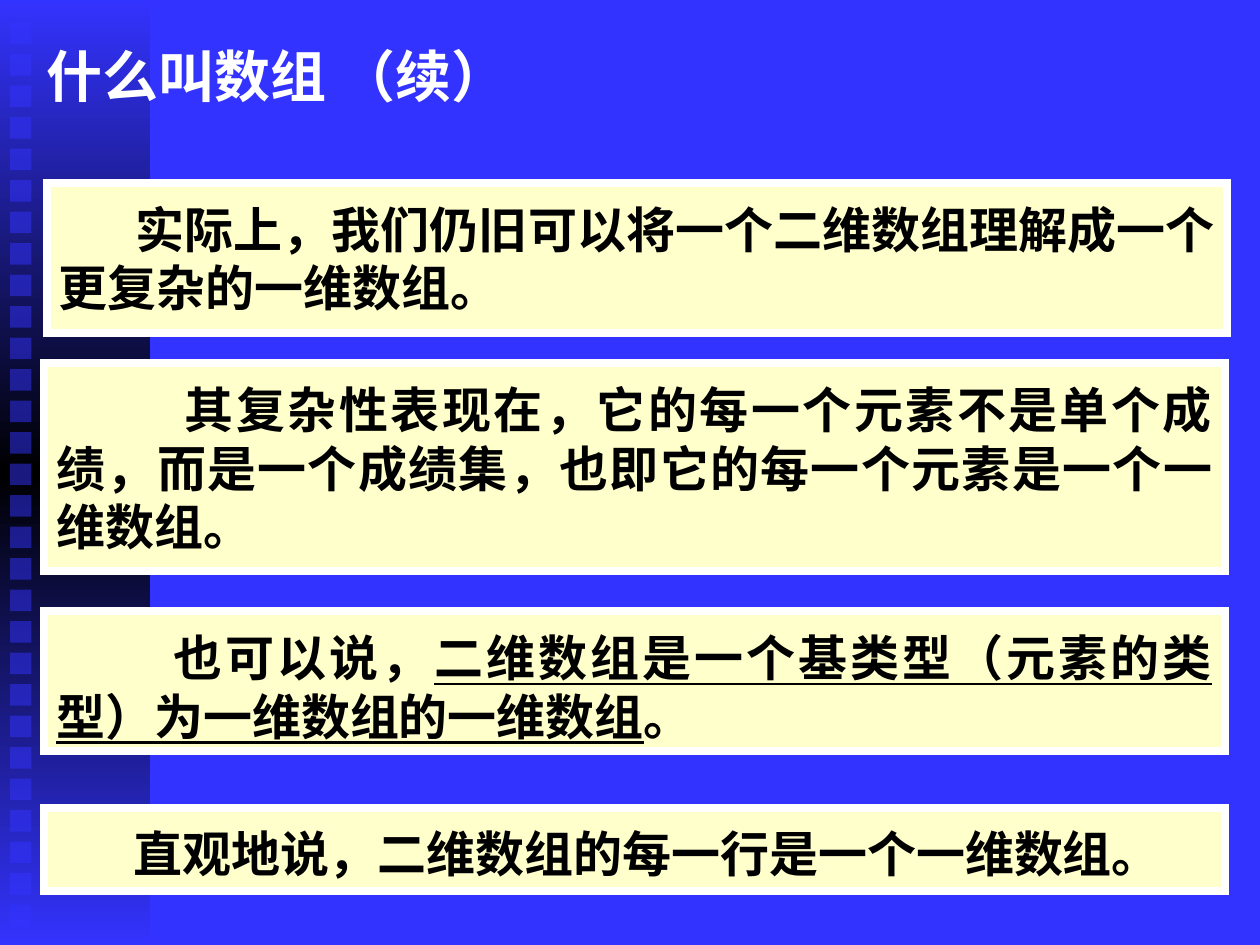
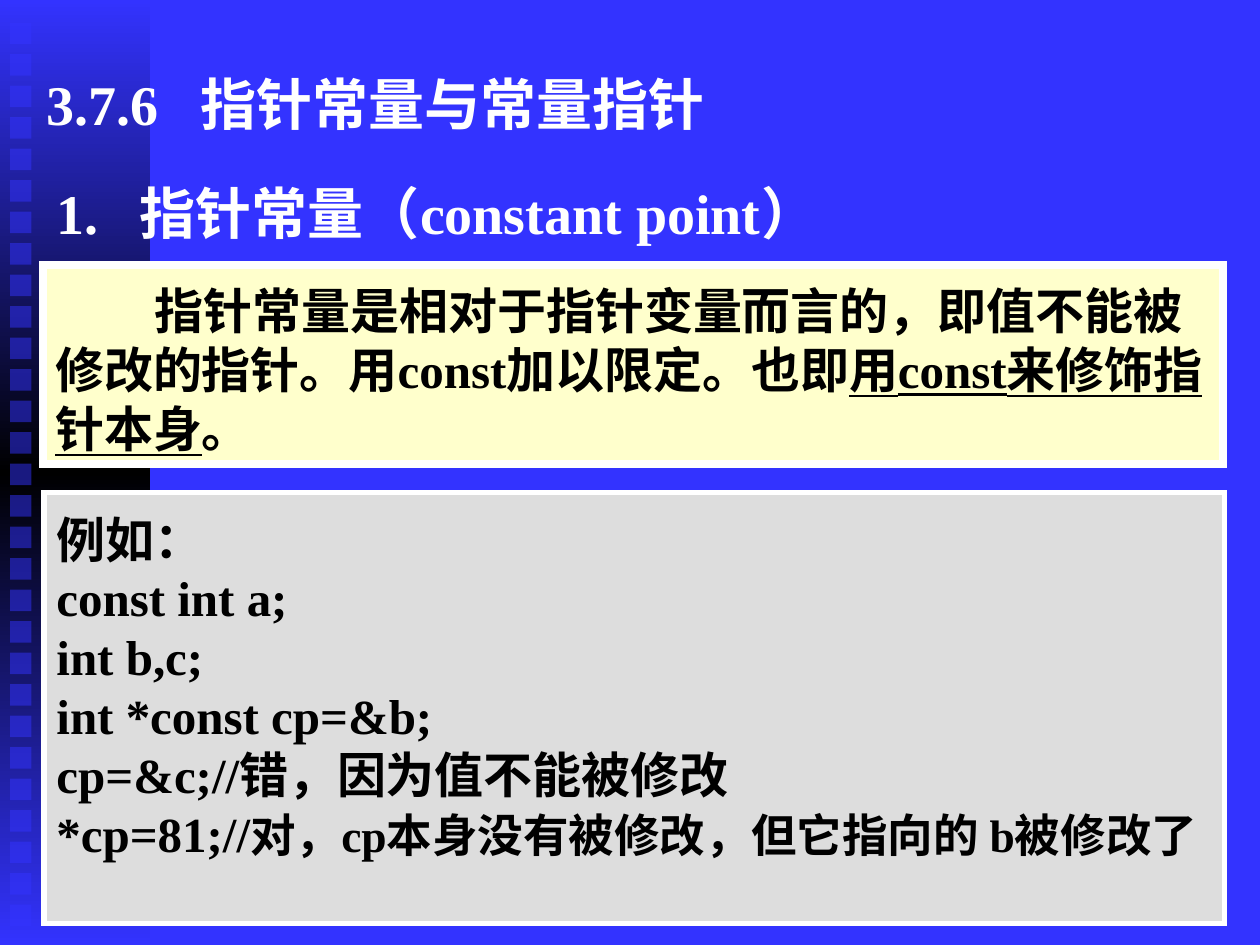
from dataclasses import dataclass

from lxml import etree
from pptx import Presentation
from pptx.dml.color import RGBColor
from pptx.enum.shapes import MSO_SHAPE
from pptx.enum.text import MSO_ANCHOR, MSO_AUTO_SIZE, PP_ALIGN
from pptx.oxml import parse_xml
from pptx.oxml.ns import nsdecls, qn
from pptx.util import Inches, Pt

RECTANGLE = MSO_SHAPE.RECTANGLE
TOP, MIDDLE = MSO_ANCHOR.TOP, MSO_ANCHOR.MIDDLE
LEFT, JUSTIFY = PP_ALIGN.LEFT, PP_ALIGN.JUSTIFY
FIXED, GROW = MSO_AUTO_SIZE.NONE, MSO_AUTO_SIZE.SHAPE_TO_FIT_TEXT


@dataclass(frozen=True)
class Theme:
    blue: str = "3333FF"
    black: str = "000000"
    white: str = "FFFFFF"
    cream: str = "FFFFCC"
    grey: str = "DDDDDD"
    font: str = "Times New Roman"
    title_size: int = 32
    body_size: int = 28
    note_size: int = 26


THEME = Theme()
UNDERLINED = {"underline": True}


def color(value):
    return RGBColor.from_string(value)


def add_rectangle(slide, box, fill, line=None, line_width=0):
    shape = slide.shapes.add_shape(RECTANGLE, *map(Inches, box))
    shape.shadow.inherit = False
    shape.fill.solid()
    shape.fill.fore_color.rgb = color(fill)
    if line:
        shape.line.color.rgb = color(line)
        shape.line.width = Pt(line_width)
        outline = shape._element.spPr.find(qn("a:ln"))
        etree.SubElement(outline, qn("a:miter")).set("lim", "800000")
    else:
        shape.line.fill.background()
    return shape


def apply_vertical_gradient(shape, stops):
    stop_xml = "".join(
        f'<a:gs pos="{percent * 1000}"><a:srgbClr val="{value}"/></a:gs>'
        for percent, value in stops)
    gradient = parse_xml(
        f'<a:gradFill {nsdecls("a")} rotWithShape="1"><a:gsLst>{stop_xml}</a:gsLst>'
        '<a:lin ang="5400000" scaled="0"/></a:gradFill>')
    properties = shape._element.spPr
    properties.replace(properties.find(qn("a:solidFill")), gradient)


def set_opacity(shape, percent):
    fill_color = shape._element.spPr.find(f'{qn("a:solidFill")}/{qn("a:srgbClr")}')
    etree.SubElement(fill_color, qn("a:alpha")).set("val", str(percent * 1000))


def add_sidebar(slide, box):
    """Gradient band with a column of half-transparent squares."""
    left, top, _, _ = box
    band = add_rectangle(slide, box, THEME.black)
    apply_vertical_gradient(
        band, [(0, THEME.blue), (50, THEME.black), (100, THEME.blue)])
    for row in range(29):
        square_box = (left + 0.08, top + 0.18 + 0.25 * row, 0.17, 0.17)
        set_opacity(add_rectangle(slide, square_box, THEME.blue), 50)


def set_text_frame(frame, top_inset, anchor, auto_size=FIXED):
    values = {
        "word_wrap": True, "auto_size": auto_size, "vertical_anchor": anchor,
        "margin_left": Inches(0.1), "margin_right": Inches(0.1),
        "margin_top": Inches(top_inset), "margin_bottom": Inches(0.05),
    }
    for name, value in values.items():
        setattr(frame, name, value)


def add_tab_stop(paragraph, position):
    tab_list = etree.SubElement(paragraph._p.get_or_add_pPr(), qn("a:tabLst"))
    tab = etree.SubElement(tab_list, qn("a:tab"))
    tab.set("pos", str(Inches(position)))
    tab.set("algn", "l")


def add_runs(paragraph, runs, size, text_color):
    """Add (text, format values) pairs to the paragraph."""
    for text, changes in runs:
        run = paragraph.add_run()
        run.text = text
        values = {"name": THEME.font, "size": Pt(size), "bold": True} | changes
        for name, value in values.items():
            setattr(run.font, name, value)
        run.font.color.rgb = color(text_color)


def add_heading(slide, box, text, anchor=MIDDLE, tab_stop=None):
    frame = slide.shapes.add_textbox(*map(Inches, box)).text_frame
    set_text_frame(frame, 0.05, anchor)
    paragraph = frame.paragraphs[0]
    if tab_stop:
        add_tab_stop(paragraph, tab_stop)
    add_runs(paragraph, [(text, {})], THEME.title_size, THEME.white)


def add_panel(slide, box, paragraphs, fill=THEME.cream, line_width=4.5,
              indent=0, alignment=LEFT, auto_size=FIXED):
    panel = add_rectangle(slide, box, fill, THEME.white, line_width)
    frame = panel.text_frame
    set_text_frame(frame, 0.13, TOP, auto_size)
    for index, runs in enumerate(paragraphs):
        paragraph = frame.add_paragraph() if index else frame.paragraphs[0]
        paragraph.alignment = alignment
        if indent:
            paragraph._p.get_or_add_pPr().set("indent", str(Inches(indent)))
        add_runs(paragraph, runs, THEME.body_size, THEME.black)


def add_base_slide(presentation):
    slide = presentation.slides.add_slide(presentation.slide_layouts[6])
    slide.background.fill.solid()
    slide.background.fill.fore_color.rgb = color(THEME.blue)
    add_sidebar(slide, (0, 0, 1.19, 7.5))
    return slide


def build_array_slide(presentation):
    slide = add_base_slide(presentation)
    add_heading(slide, (0.27, 0.28, 7, 0.75), "什么叫数组 （续）", TOP)
    # The second indent leaves room for 20 characters, so no comma hangs outside.
    panels = [
        ((0.37, 1.45, 9.37, 1.19), 0.61, FIXED,
         [("实际上，我们仍旧可以将一个二维数组理解成一个更复杂的一维数组。", {})]),
        ((0.35, 2.88, 9.37, 1.65), 1.02, FIXED,
         [("其复杂性表现在，它的每一个元素不是单个成绩，而是一个成绩集，"
           "也即它的每一个元素是一个一维数组。", {})]),
        ((0.35, 4.85, 9.37, 1.11), 0.93, GROW,
         [("也可以说，", {}),
          ("二维数组是一个基类型（元素的类型）为一维数组的一维数组", UNDERLINED),
          ("。", {})]),
        ((0.35, 6.41, 9.37, 0.66), 0.61, FIXED,
         [("直观地说，二维数组的每一行是一个一维数组。", {})]),
    ]
    for box, indent, auto_size, runs in panels:
        add_panel(slide, box, [runs], indent=indent, alignment=JUSTIFY,
                  auto_size=auto_size)


def build_pointer_slide(presentation):
    slide = add_base_slide(presentation)
    add_heading(slide, (0.27, 0.44, 5.91, 0.75), "3.7.6\t指针常量与常量指针",
                tab_stop=1.22)
    definition = [
        ("指针常量是相对于指针变量而言的，即值不能被修改的指针。用const加以限定。也即", {}),
        ("用const来修饰指针本身", UNDERLINED),
        ("。", {}),
    ]
    add_panel(slide, (0.34, 2.1, 9.37, 1.58), [definition], indent=0.79,
              auto_size=GROW)
    add_heading(slide, (0.35, 1.31, 7.09, 0.75), "1.\t指针常量（constant point）",
                tab_stop=0.66)
    code_lines = ["例如：", "const int a;", "int b,c;", "int *const cp=&b;",
                  "cp=&c;//错，因为值不能被修改"]
    example = [[(line, {})] for line in code_lines]
    example.append([
        ("*cp=81;//", {}),
        ("对，cp本身没有被修改，但它指向的 b被修改了", {"size": Pt(THEME.note_size)}),
    ])
    add_panel(slide, (0.35, 3.91, 9.37, 3.42), example, fill=THEME.grey,
              line_width=3, auto_size=GROW)


def main():
    presentation = Presentation()
    presentation.slide_width = Inches(10)
    presentation.slide_height = Inches(7.5)
    build_array_slide(presentation)
    build_pointer_slide(presentation)
    presentation.save("out.pptx")


if __name__ == "__main__":
    main()
